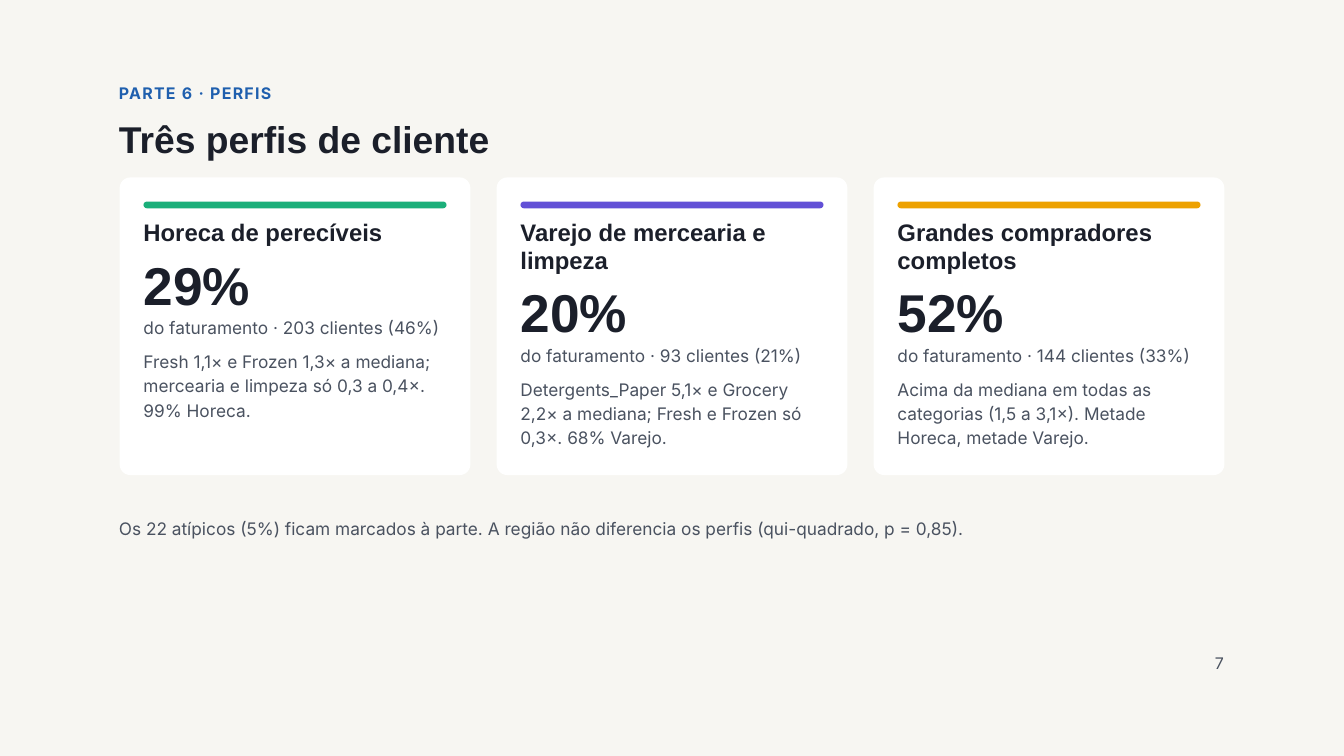
from dataclasses import dataclass

from pptx import Presentation
from pptx.dml.color import RGBColor
from pptx.enum.shapes import MSO_SHAPE as Preset
from pptx.enum.text import MSO_AUTO_SIZE as AutoSize
from pptx.slide import Slide
from pptx.util import Inches, Pt

PAPER = RGBColor(0xF7, 0xF6, 0xF2)
WHITE = RGBColor(0xFF, 0xFF, 0xFF)
INK = RGBColor(0x1B, 0x1F, 0x2A)
SLATE = RGBColor(0x4A, 0x52, 0x60)
BLUE = RGBColor(0x1F, 0x5F, 0xAE)
GREEN = RGBColor(0x1B, 0xAF, 0x7A)
VIOLET = RGBColor(0x62, 0x50, 0xD6)
AMBER = RGBColor(0xED, 0xA1, 0x00)

SLIDE_W, SLIDE_H = 20, 11.25
MARGIN = 1.77
TEXT_W = SLIDE_W - 2 * MARGIN
GRID_LEFT, COLUMN_W, GUTTER = 1.78, 5.22, 0.39
CARD_TOP, CARD_H, CARD_RADIUS = 2.64, 4.43, 0.16
PADDING = 0.355
INNER_W = COLUMN_W - 2 * PADDING
HEADING_ROW = 0.41


@dataclass(frozen=True)
class Box:
    left: float
    top: float
    width: float
    height: float

    def emu(self) -> tuple[int, ...]:
        return tuple(Inches(n) for n in (self.left, self.top, self.width, self.height))


@dataclass(frozen=True)
class Style:
    font: str
    size: float
    leading: float
    color: RGBColor
    bold: bool = False
    tracking: int = 0


@dataclass(frozen=True)
class Profile:
    heading: str
    heading_rows: int
    share: str
    customers: str
    traits: str
    accent: RGBColor


EYEBROW = Style("Inter", 17.1, 20.5, BLUE, True, 140)
TITLE = Style("Arial", 39.9, 43.9, INK, True)
HEADING = Style("Arial", 25.6, 29.5, INK, True)
SHARE = Style("Arial", 57, 57, INK, True)
CUSTOMERS = Style("Inter", 18.5, 24.1, SLATE)
BODY = Style("Inter", 18.5, 25.9, SLATE)
PAGE = Style("Inter", 17.1, 20.5, SLATE)

PROFILES = (
    Profile("Horeca de perecíveis", 1, "29%", "do faturamento · 203 clientes (46%)",
            "Fresh 1,1× e Frozen 1,3× a mediana; mercearia e limpeza só 0,3 a 0,4×. 99% Horeca.", GREEN),
    Profile("Varejo de mercearia e limpeza", 2, "20%", "do faturamento · 93 clientes (21%)",
            "Detergents_Paper 5,1× e Grocery 2,2× a mediana; Fresh e Frozen só 0,3×. 68% Varejo.", VIOLET),
    Profile("Grandes compradores completos", 2, "52%", "do faturamento · 144 clientes (33%)",
            "Acima da mediana em todas as categorias (1,5 a 3,1×). Metade Horeca, metade Varejo.", AMBER),
)


def add_panel(slide: Slide, box: Box, color: RGBColor, radius: float = 0) -> None:
    preset = Preset.ROUNDED_RECTANGLE if radius else Preset.RECTANGLE
    panel = slide.shapes.add_shape(preset, *box.emu())
    if radius:
        panel.adjustments[0] = radius / min(box.width, box.height)
    panel.fill.solid()
    panel.fill.fore_color.rgb = color
    panel.line.fill.background()
    panel.shadow.inherit = False


def add_text(slide: Slide, box: Box, text: str, style: Style) -> None:
    frame = slide.shapes.add_textbox(*box.emu()).text_frame
    frame.margin_left = frame.margin_top = frame.margin_right = frame.margin_bottom = 0
    frame.word_wrap = True
    frame.auto_size = AutoSize.SHAPE_TO_FIT_TEXT
    frame.text = text
    paragraph = frame.paragraphs[0]
    paragraph.line_spacing = Pt(style.leading)
    run = paragraph.runs[0]
    run.font.name = style.font
    run.font.size = Pt(style.size)
    run.font.bold = style.bold
    run.font.color.rgb = style.color
    if style.tracking:
        run.font._element.set("spc", str(style.tracking))


def add_profile(slide: Slide, column: int, profile: Profile) -> None:
    left = GRID_LEFT + column * (COLUMN_W + GUTTER)
    inner = left + PADDING
    heading_top = CARD_TOP + 0.62
    heading_h = profile.heading_rows * HEADING_ROW
    share_top = heading_top + heading_h + 0.24
    add_panel(slide, Box(left, CARD_TOP, COLUMN_W, CARD_H), WHITE, CARD_RADIUS)
    add_panel(slide, Box(inner, CARD_TOP + 0.36, INNER_W, 0.1), profile.accent, 0.05)
    add_text(slide, Box(inner, heading_top, INNER_W, heading_h), profile.heading, HEADING)
    add_text(slide, Box(inner, share_top, INNER_W, 0.71), profile.share, SHARE)
    add_text(slide, Box(inner, share_top + 0.79, INNER_W, 0.37), profile.customers, CUSTOMERS)
    add_text(slide, Box(inner, share_top + 1.27, INNER_W, 1.12), profile.traits, BODY)


def main() -> None:
    """Build the customer profiles slide."""
    deck = Presentation()
    deck.slide_width, deck.slide_height = Inches(SLIDE_W), Inches(SLIDE_H)
    slide = deck.slides.add_slide(deck.slide_layouts[6])
    add_panel(slide, Box(0, 0, SLIDE_W, SLIDE_H), PAPER)
    add_text(slide, Box(MARGIN, 1.24, 2.35, 0.28), "PARTE 6 · PERFIS", EYEBROW)
    add_text(slide, Box(MARGIN, 1.79, TEXT_W, 0.58), "Três perfis de cliente", TITLE)
    for column, profile in enumerate(PROFILES):
        add_profile(slide, column, profile)
    add_text(slide, Box(MARGIN, 7.66, TEXT_W, 0.4),
             "Os 22 atípicos (5%) ficam marcados à parte. "
             "A região não diferencia os perfis (qui-quadrado, p = 0,85).", BODY)
    add_text(slide, Box(18.08, 9.73, 0.14, 0.29), "7", PAGE)
    deck.save("out.pptx")


if __name__ == "__main__":
    main()
